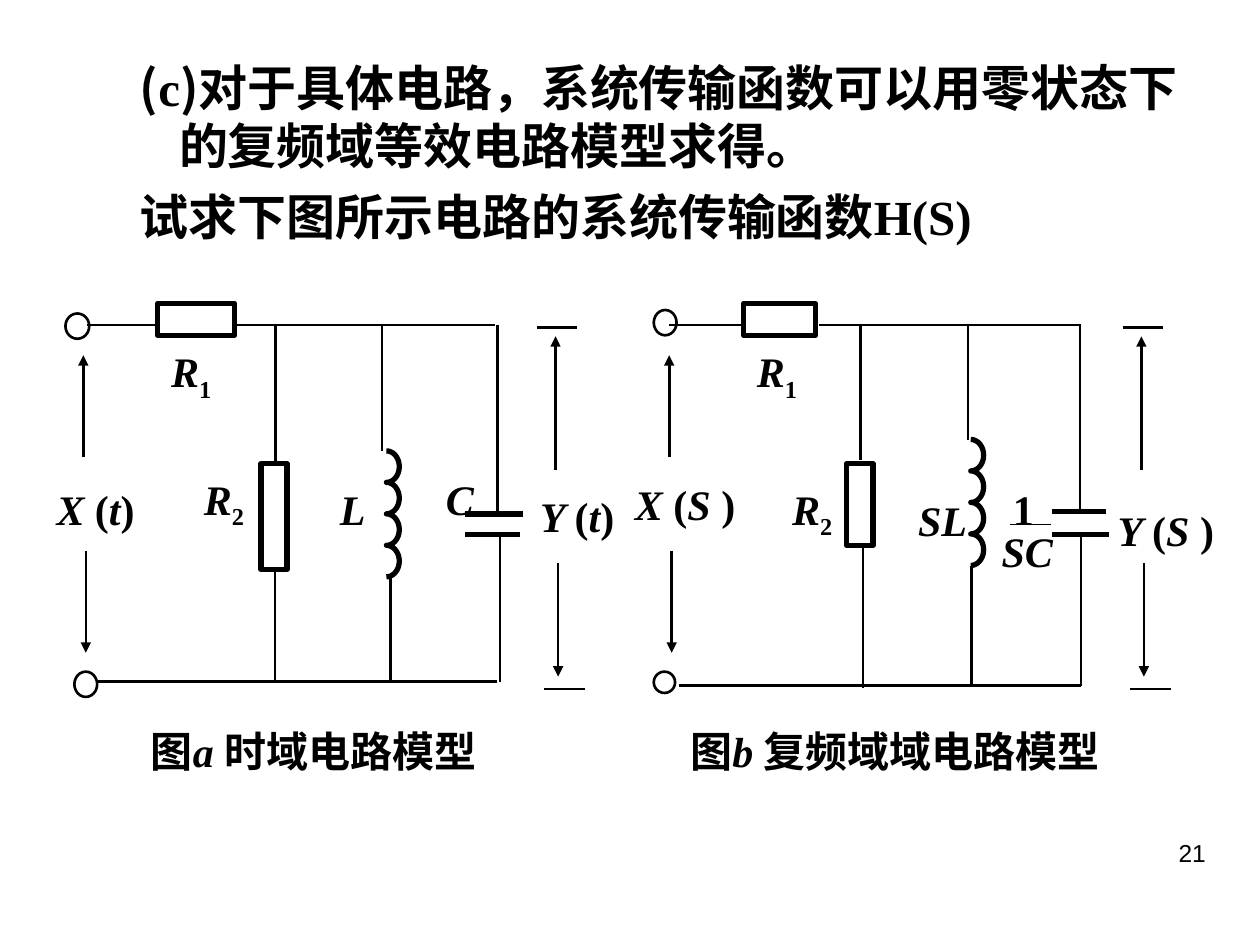
import math
from lxml import etree
from pptx import Presentation
from pptx.dml.color import RGBColor
from pptx.enum.shapes import MSO_CONNECTOR, MSO_SHAPE
from pptx.enum.text import MSO_ANCHOR, MSO_AUTO_SIZE, PP_ALIGN
from pptx.oxml.ns import qn
from pptx.util import Cm, Pt

STRAIGHT = MSO_CONNECTOR.STRAIGHT
RECTANGLE, OVAL = MSO_SHAPE.RECTANGLE, MSO_SHAPE.OVAL
TOP, NO_FIT = MSO_ANCHOR.TOP, MSO_AUTO_SIZE.NONE
LEFT, RIGHT = PP_ALIGN.LEFT, PP_ALIGN.RIGHT

COLORS = {"ink": "000000"}
SERIF, SANS, CJK = "Times New Roman", "Arial", "Noto Sans CJK SC"
THIN, WIRE, THICK = 0.75, 1.5, 3
TOP_RAIL = 6.55
CIRCUIT_STEP = 11.81
TURNS, TURN_HEIGHT, TURN_RADIUS = 4, 0.635, 0.26

ARROWS = [(1.68, 9.22, 7.16), (1.73, 11.1, 13.16),
          (11.2, 9.47, 6.78), (11.25, 11.35, 13.64)]

TIME_DOMAIN = {
    "offset": 0,
    "terminals": [(1.32, 6.32, 0.48, 0.51), (1.5, 13.54, 0.46, 0.51)],
    "resistors": [(3.18, 6.12, 1.55, 0.64), (5.26, 9.35, 0.53, 2.13)],
    "rails": [(1.75, 3.2, TOP_RAIL), (4.7, 9.98, TOP_RAIL), (1.96, 10.01, 13.74)],
    "branches": [(5.56, TOP_RAIL, 9.3), (5.54, 11.46, 13.74),
                 (7.7, TOP_RAIL, 9.09), (7.87, 11.63, 13.74),
                 (10.03, TOP_RAIL, 10.36), (10.08, 10.77, 13.74)],
    "plates": [(9.37, 10.54, 10.36), (9.37, 10.49, 10.77)],
    "coil": (7.79, 9.09),
    "lower_tick": WIRE,
    "labels": [(3.2, 6.73, 1.93, [("R", "italic"), ("1", "sub")]),
               (3.86, 9.3, 1.93, [("R", "italic"), ("2", "sub")]),
               (8.74, 9.3, 1.5, [("C", "italic")]),
               (6.6, 9.5, 1.47, [("L", "italic")]),
               (0.89, 9.5, 2.34, [("X ", "italic"), ("(", ""), ("t", "italic"), (")", "")]),
               (10.64, 9.65, 2.74, [("Y ", "italic"), ("(", ""), ("t", "italic"), (")", "")])],
}

FREQUENCY_DOMAIN = {
    "offset": CIRCUIT_STEP,
    "terminals": [(13.18, 6.25, 0.46, 0.51), (13.18, 13.54, 0.43, 0.43)],
    "resistors": [(14.99, 6.12, 1.45, 0.64), (17.07, 9.35, 0.53, 1.65)],
    "rails": [(13.49, 14.94, TOP_RAIL), (16.51, 21.79, TOP_RAIL), (13.69, 21.79, 13.82)],
    "branches": [(17.35, TOP_RAIL, 9.27), (17.4, 11, 13.87),
                 (19.51, TOP_RAIL, 8.86), (19.58, 11.4, 13.82),
                 (21.77, TOP_RAIL, 10.36), (21.79, 10.77, 13.82)],
    "plates": [(21.21, 22.3, 10.31), (21.21, 22.35, 10.77)],
    "coil": (19.57, 8.86),
    "lower_tick": THIN,
    "labels": [(15.01, 6.73, 1.5, [("R", "italic"), ("1", "sub")]),
               (15.72, 9.5, 1.5, [("R", "italic"), ("2", "sub")]),
               (20.17, 9.5, 1.47, [("1", "")]),
               (19.94, 10.36, 1.7, [("SC", "italic")]),
               (18.26, 9.73, 1.73, [("SL", "italic")]),
               (12.55, 9.4, 2.54, [("X ", "italic"), ("(", ""), ("S ", "italic"), (")", "")]),
               (22.28, 9.93, 2.54, [("Y ", "italic"), ("(", ""), ("S ", "italic"), (")", "")])],
}


def ink():
    return RGBColor.from_string(COLORS["ink"])


def outline(shape, weight):
    shape.line.color.rgb = ink()
    shape.line.width = Pt(weight)


def add_line(slide, x1, y1, x2, y2, weight=WIRE, arrow=False):
    line = slide.shapes.add_connector(STRAIGHT, Cm(x1), Cm(y1), Cm(x2), Cm(y2))
    outline(line, weight)
    properties = line._element.spPr
    if arrow:
        etree.SubElement(properties.find(qn("a:ln")), qn("a:tailEnd"), type="triangle")
    etree.SubElement(properties, qn("a:effectLst"))


def add_outline_shape(slide, preset, box, weight):
    shape = slide.shapes.add_shape(preset, *map(Cm, box))
    shape.shadow.inherit = False
    shape.fill.background()
    outline(shape, weight)


def add_coil(slide, center, top):
    steps = 24
    points = []
    for turn in range(TURNS):
        for step in range(steps + 1):
            angle = math.pi * step / steps
            points.append((Cm(center + TURN_RADIUS * math.sin(angle)),
                           Cm(top + TURN_HEIGHT * (turn + (1 - math.cos(angle)) / 2))))
    builder = slide.shapes.build_freeform(*points[0])
    builder.add_line_segments(points[1:], close=False)
    coil = builder.convert_to_shape()
    coil.shadow.inherit = False
    coil.fill.background()
    outline(coil, THICK)


def add_run(paragraph, text, size, latin=SERIF, bold=True, style=""):
    run = paragraph.add_run()
    run.text = text
    run.font.size = Pt(size)
    run.font.name = latin
    run.font.bold = bold
    run.font.italic = style == "italic"
    run.font.color.rgb = ink()
    properties = run._r.get_or_add_rPr()
    if style == "sub":
        properties.set("baseline", "-25000")
    etree.SubElement(properties, qn("a:ea"), typeface=CJK)


def prepare_frame(shape, inset_top=0.24):
    frame = shape.text_frame
    frame.word_wrap = True
    frame.auto_size = NO_FIT
    frame.vertical_anchor = TOP
    frame.margin_left = Cm(0.25)
    frame.margin_top = Cm(inset_top)
    return frame


def add_label(slide, left, top, width, parts):
    label = slide.shapes.add_textbox(Cm(left), Cm(top), Cm(width), Cm(1.93))
    frame = prepare_frame(label)
    frame.margin_right = 0
    for text, style in parts:
        add_run(frame.paragraphs[0], text, 24, style=style)


def add_circuit(slide, circuit):
    for box in circuit["terminals"]:
        add_outline_shape(slide, OVAL, box, WIRE)
    for box in circuit["resistors"]:
        add_outline_shape(slide, RECTANGLE, box, THICK)
    for start, end, y in circuit["rails"]:
        add_line(slide, start, y, end, y)
    for x, start, end in circuit["branches"]:
        add_line(slide, x, start, x, end)
    for start, end, y in circuit["plates"]:
        add_line(slide, start, y, end, y, THICK)
    add_coil(slide, *circuit["coil"])
    offset = circuit["offset"]
    for x, start, end in ARROWS:
        add_line(slide, x + offset, start, x + offset, end, arrow=True)
    add_line(slide, 10.82 + offset, 6.6, 11.63 + offset, 6.6)
    add_line(slide, 10.97 + offset, 13.89, 11.79 + offset, 13.89, circuit["lower_tick"])
    for label in circuit["labels"]:
        add_label(slide, *label)


def fill_body(body):
    body.left, body.top, body.width, body.height = Cm(1.3), Cm(0.91), Cm(22.86), Cm(4.24)
    frame = prepare_frame(body)
    statements = [
        [("(", CJK), ("c", SERIF), (")", CJK),
         ("对于具体电路，系统传输函数可以用零状态下的复频域等效电路模型求得。", SANS)],
        [("试求下图所示电路的系统传输函数", SANS), ("H(S)", SERIF)],
    ]
    for index, parts in enumerate(statements):
        paragraph = frame.add_paragraph() if index else frame.paragraphs[0]
        paragraph.alignment = LEFT
        paragraph.line_spacing = Pt(33.6)
        paragraph.space_before = Pt(7 * index)
        properties = paragraph._p.get_or_add_pPr()
        properties.set("marL", str(Cm(2.06)))
        properties.set("indent", str(Cm(-0.79)))
        etree.SubElement(properties, qn("a:buNone"))
        for text, latin in parts:
            add_run(paragraph, text, 28, latin)


def add_captions(slide):
    captions = slide.shapes.add_textbox(Cm(2.79), Cm(14.38), Cm(20.12), Cm(1.93))
    paragraph = prepare_frame(captions).paragraphs[0]
    paragraph.line_spacing = Pt(28.8)
    tabs = etree.SubElement(paragraph._p.get_or_add_pPr(), qn("a:tabLst"))
    etree.SubElement(tabs, qn("a:tab"), pos=str(Cm(10.88)), algn="l")
    for text, style in [("图", ""), ("a ", "italic"), ("时域电路模型", ""), ("\t", ""),
                        ("图", ""), ("b ", "italic"), ("复频域域电路模型", "")]:
        add_run(paragraph, text, 24, style=style)


def add_page_number(slide):
    number = slide.shapes.add_textbox(Cm(18.21), Cm(16.71), Cm(6.35), Cm(1.32))
    paragraph = prepare_frame(number, 0.19).paragraphs[0]
    paragraph.alignment = RIGHT
    add_run(paragraph, "21", 14, SANS, bold=False)


def main():
    deck = Presentation()
    deck.slide_width, deck.slide_height = Cm(25.4), Cm(19.05)
    slide = deck.slides.add_slide(deck.slide_layouts[1])
    title = slide.shapes.title._element
    title.getparent().remove(title)
    fill_body(slide.placeholders[1])
    for circuit in (TIME_DOMAIN, FREQUENCY_DOMAIN):
        add_circuit(slide, circuit)
    add_line(slide, 20.37, 10.57, 21.18, 10.57, THIN)
    add_captions(slide)
    add_page_number(slide)
    deck.save("out.pptx")


if __name__ == "__main__":
    main()
